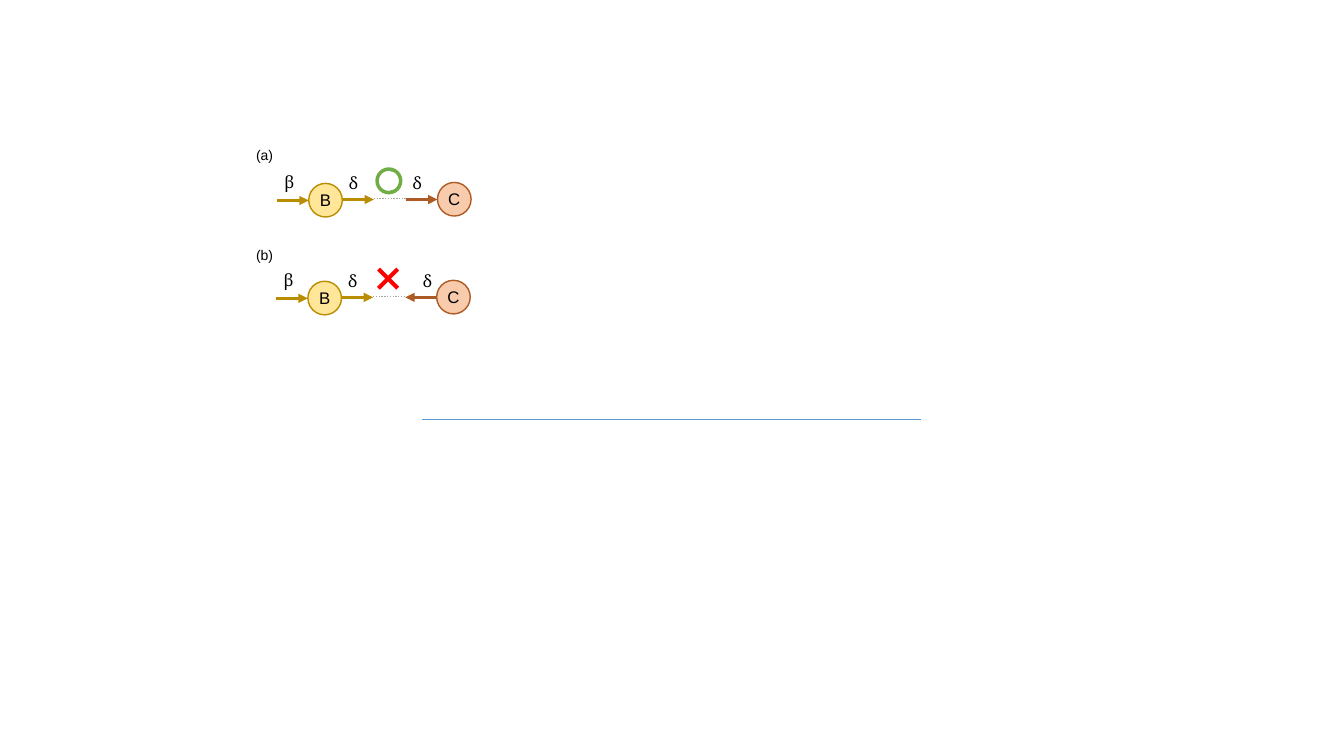
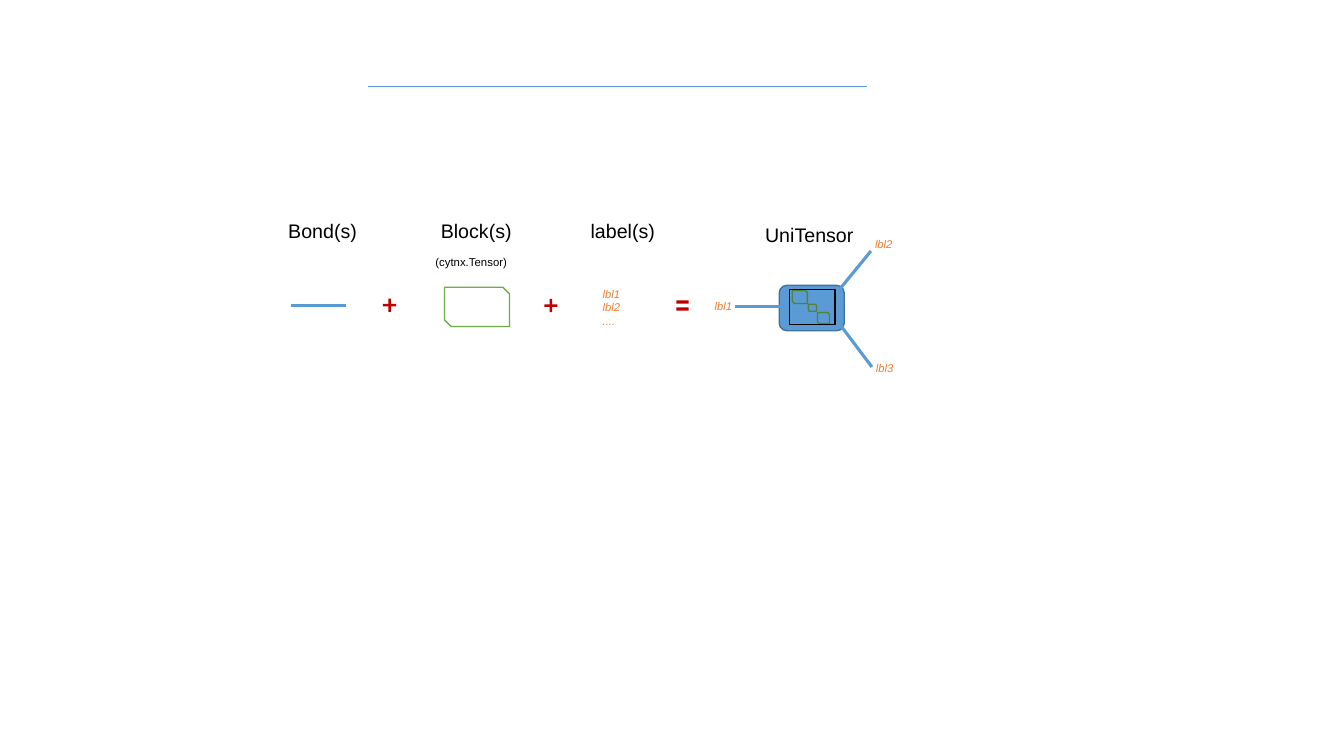
from copy import deepcopy
from dataclasses import dataclass

from pptx import Presentation
from pptx.dml.color import RGBColor
from pptx.enum.dml import MSO_LINE
from pptx.enum.shapes import MSO_CONNECTOR, MSO_SHAPE
from pptx.enum.text import MSO_ANCHOR, PP_ALIGN
from pptx.oxml.ns import qn
from pptx.util import Pt
from lxml.etree import SubElement


@dataclass(frozen=True)
class Theme:
    sans: str = "Arial"
    serif: str = "Cambria"
    black: str = "000000"
    white: str = "FFFFFF"
    blue: str = "5B9BD5"
    blue_edge: str = "42719B"
    yellow: str = "FFE699"
    yellow_edge: str = "BA8C00"
    peach: str = "F8CBAD"
    peach_edge: str = "AD5B24"
    green: str = "70AD47"
    green_edge: str = "548235"
    red: str = "FF0000"
    operator: str = "C00000"
    orange: str = "ED7D31"
    gray: str = "A6A6A6"
    heading: float = 14
    symbol: float = 12
    caption: float = 10
    tag: float = 8
    rule: float = 0.5
    outline: float = 1
    stroke: float = 2.25
    inset: float = 3.6


THEME = Theme()
HEADING = {"size": Pt(THEME.heading), "name": THEME.sans}
NODE = {"size": Pt(THEME.symbol), "name": THEME.sans}
GREEK = {"size": Pt(THEME.symbol), "name": THEME.serif}
CAPTION = {"size": Pt(THEME.caption), "name": THEME.sans}
TAG = {"size": Pt(THEME.tag), "name": THEME.sans, "italic": True}


def apply_format(target, values):
    for name, value in values.items():
        setattr(target, name, value)


def set_margins(frame, margin):
    sides = ("left", "top", "right", "bottom")
    apply_format(frame, {f"margin_{side}": Pt(margin) for side in sides})


def add_run(paragraph, text, font, color=THEME.black):
    run = paragraph.add_run()
    run.text = text
    apply_format(run.font, font)
    run.font.color.rgb = RGBColor.from_string(color)
    return run


def draw_text(shapes, box, lines, font, color=THEME.black, wrap=False):
    frame = shapes.add_textbox(*map(Pt, box)).text_frame
    frame.word_wrap = wrap
    set_margins(frame, THEME.inset)
    for index, line in enumerate(lines):
        paragraph = frame.add_paragraph() if index else frame.paragraphs[0]
        add_run(paragraph, line, font, color)
    return frame.paragraphs[-1]


def draw_shape(shapes, kind, box, fill=None, edge=None, adjustment=None, index=0):
    shape = shapes.add_shape(kind, *map(Pt, box))
    shape.shadow.inherit = False
    if fill:
        shape.fill.solid()
        shape.fill.fore_color.rgb = RGBColor.from_string(fill)
    else:
        shape.fill.background()
    if edge:
        shape.line.color.rgb = RGBColor.from_string(edge)
        shape.line.width = Pt(THEME.outline)
    else:
        shape.line.fill.background()
    if adjustment is not None:
        shape.adjustments[index] = adjustment
    return shape


def draw_line(shapes, start, end, color, width=THEME.stroke, dash=None, arrow=False):
    connector = shapes.add_connector(
        MSO_CONNECTOR.STRAIGHT, *map(Pt, (*start, *end)))
    line = connector.line
    line.color.rgb = RGBColor.from_string(color)
    line.width = Pt(width)
    if dash:
        line.dash_style = dash
    properties = connector._element.spPr
    if arrow:
        SubElement(properties.find(qn("a:ln")), qn("a:tailEnd"), type="triangle")
    SubElement(properties, qn("a:effectLst"))


def draw_rule(shapes, left, top):
    draw_line(shapes, (left, top), (left + 356.4, top), THEME.blue, THEME.rule)


def draw_node(shapes, left, top, letter, fill, edge):
    node = draw_shape(shapes, MSO_SHAPE.OVAL, (left, top, 24, 24), fill, edge)
    frame = node.text_frame
    set_margins(frame, 0)
    apply_format(frame, {"word_wrap": False, "vertical_anchor": MSO_ANCHOR.MIDDLE})
    paragraph = frame.paragraphs[0]
    paragraph.alignment = PP_ALIGN.CENTER
    add_run(paragraph, letter, NODE)


def draw_panel(shapes, caption, left, top, chain, matched):
    draw_text(shapes, (left, top, 20, 18), [caption], CAPTION)
    x, y = chain
    hop = 22.9
    draw_node(shapes, x + 22.5, y, "B", THEME.yellow, THEME.yellow_edge)
    draw_node(shapes, x + 114.5, y - 0.7, "C", THEME.peach, THEME.peach_edge)
    gap_start, gap_end = x + 69.1, x + 92.1
    ends = [(gap_end, y + 11.5), (gap_end + hop - 0.5, y + 11.5)]
    if not matched:
        ends.reverse()
    arrows = (
        ((x, y + 12.2), (x + 22.5, y + 12.2), THEME.yellow_edge),
        ((x + 46.8, y + 11.5), (gap_start, y + 11.5), THEME.yellow_edge),
        (*ends, THEME.peach_edge),
    )
    for start, end, color in arrows:
        draw_line(shapes, start, end, color, arrow=True)
    draw_line(shapes, (gap_start, y + 11), (gap_end, y + 11),
              THEME.gray, THEME.outline, MSO_LINE.ROUND_DOT)
    symbols = (("β", 1.4, -11.8), ("δ", 47.5, -11),
               ("δ", 92.9 if matched else 100.8, -11.3))
    for symbol, shift, rise in symbols:
        draw_text(shapes, (x + shift, y + rise, 15.8, 20.9), [symbol], GREEK)
    mark_box = (x + 70.1, y - 11.5, 19.4, 19.4)
    if matched:
        draw_shape(shapes, MSO_SHAPE.DONUT, mark_box, THEME.green, adjustment=0.13)
    else:
        cross = draw_shape(shapes, MSO_SHAPE.CROSS, mark_box, THEME.red, adjustment=0.425)
        cross.rotation = 45


def draw_bond(shapes, left, top):
    draw_text(shapes, (left, top, 77, 23), ["Bond(s)"], HEADING, wrap=True)
    draw_line(shapes, (left + 5.8, top + 65.5), (left + 44.7, top + 65.5), THEME.blue)


def draw_block(shapes, left, top):
    paragraph = draw_text(shapes, (left, top, 78, 42), [" Block(s)"], HEADING, wrap=True)
    paragraph.add_line_break()
    subscript = add_run(paragraph, "(cytnx.Tensor)", HEADING)
    line_break = paragraph._p.find(qn("a:br"))
    line_break.append(deepcopy(subscript._r.get_or_add_rPr()))
    subscript._r.get_or_add_rPr().set("baseline", "-25000")
    draw_shape(shapes, MSO_SHAPE.SNIP_2_DIAG_RECTANGLE,
               (left + 10.1, top + 52.6, 46.4, 28), THEME.white, THEME.green)


def draw_labels(shapes, left, top):
    draw_text(shapes, (left, top, 78, 23), ["label(s)"], HEADING, wrap=True)
    draw_text(shapes, (left + 8.6, top + 49, 23, 34),
              ["lbl1", "lbl2", "...."], TAG, THEME.orange)


def draw_tensor(shapes, left, top):
    draw_shape(shapes, MSO_SHAPE.ROUNDED_RECTANGLE,
               (left + 13.7, top + 48.3, 46.4, 32.4), THEME.blue, THEME.blue_edge)
    legs = shapes.add_group_shape().shapes
    for x1, y1, x2, y2 in ((53.3, 55.5, 79.2, 23.8),
                           (20.9, 63.4, -18, 63.4),
                           (55.5, 74.2, 79.9, 106.6)):
        draw_line(legs, (left + x1, top + y1), (left + x2, top + y2), THEME.blue)
    blocks = shapes.add_group_shape().shapes
    for x, y, width, height in ((23, 51.9, 10.8, 9.4),
                                (34.5, 61.9, 5.8, 5),
                                (41, 67.7, 8.6, 7.9)):
        draw_shape(blocks, MSO_SHAPE.SNIP_2_DIAG_RECTANGLE,
                   (left + x, top + y, width, height), edge=THEME.green_edge)
    draw_shape(shapes, MSO_SHAPE.RECTANGLE,
               (left + 20.9, top + 51.1, 32.6, 25.2), edge=THEME.black)
    draw_text(shapes, (left, top, 146, 23), ["UniTensor"], HEADING, wrap=True)
    for tag, x, y in (("lbl1", -36, 54.7), ("lbl2", 78.5, 10.8), ("lbl3", 79.2, 99.4)):
        draw_text(shapes, (left + x, top + y, 21, 16), [tag], TAG, THEME.orange)


def draw_plus(shapes, left, top):
    draw_shape(shapes, MSO_SHAPE.CROSS, (left, top, 9.4, 9.4),
               THEME.operator, adjustment=0.408)


def draw_equals(shapes, left, top):
    for drop in (0, 5):
        draw_shape(shapes, MSO_SHAPE.RECTANGLE,
                   (left, top + drop, 8.8, 2.3), THEME.operator)


def build_matching_slide(shapes):
    draw_rule(shapes, 301.7, 299.5)
    draw_panel(shapes, "(a)", 179.3, 100.8, (198, 131), True)
    draw_panel(shapes, "(b)", 179.3, 172.8, (197.4, 200.9), False)


def build_tensor_slide(shapes):
    draw_rule(shapes, 262.8, 61.9)
    row = 152.6
    draw_bond(shapes, 202.3, row)
    draw_plus(shapes, 273.6, row + 60.7)
    draw_block(shapes, 307.4, row)
    draw_plus(shapes, 388.8, row + 61)
    draw_labels(shapes, 418.3, row)
    draw_equals(shapes, 483.1, row + 62)
    draw_tensor(shapes, 542.9, row + 2.9)


def main():
    presentation = Presentation()
    presentation.slide_width, presentation.slide_height = Pt(960), Pt(540)
    for build in (build_matching_slide, build_tensor_slide):
        slide = presentation.slides.add_slide(presentation.slide_layouts[6])
        build(slide.shapes)
    presentation.save("out.pptx")


if __name__ == "__main__":
    main()
